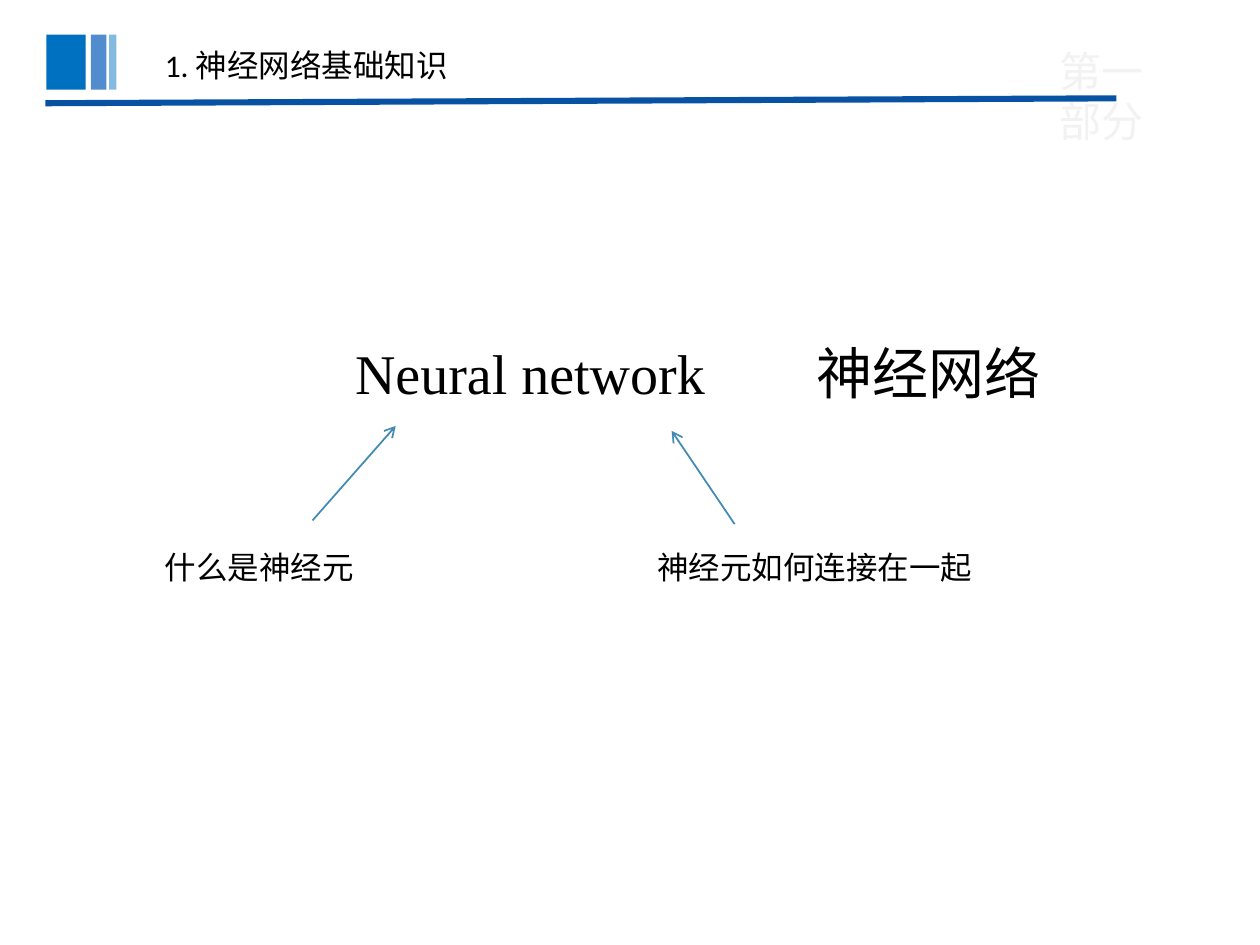
from lxml import etree
from pptx import Presentation
from pptx.dml.color import RGBColor
from pptx.enum.shapes import MSO_CONNECTOR, MSO_SHAPE
from pptx.oxml.ns import qn
from pptx.util import Pt

STRAIGHT = MSO_CONNECTOR.STRAIGHT
RECTANGLE = MSO_SHAPE.RECTANGLE
BLACK = RGBColor(0x00, 0x00, 0x00)
PALE_GREY = RGBColor(0xF2, 0xF2, 0xF2)
RULE_BLUE = RGBColor(0x08, 0x52, 0xA4)
BRIGHT_BLUE = RGBColor(0x00, 0x70, 0xC0)
DEEP_BLUE = RGBColor(0x06, 0x5C, 0xBA)
ARROW_BLUE = RGBColor(0x41, 0x8A, 0xB3)
CJK_FONT = "Noto Sans CJK SC"

prs = Presentation()
prs.slide_width, prs.slide_height = Pt(720), Pt(540)
slide = prs.slides.add_slide(prs.slide_layouts[6])


def add_text(text, left, top, width, height, size=18, font="Calibri", color=BLACK, tab=None):
    box = slide.shapes.add_textbox(Pt(left), Pt(top), Pt(width), Pt(height))
    box.text_frame.word_wrap = True
    paragraph = box.text_frame.paragraphs[0]
    run = paragraph.add_run()
    run.text = text
    run.font.size = Pt(size)
    run.font.name = font
    run.font.color.rgb = color
    etree.SubElement(run.font._element, qn("a:ea"), typeface=CJK_FONT)
    if tab:
        tabs = etree.SubElement(paragraph._p.get_or_add_pPr(), qn("a:tabLst"))
        etree.SubElement(tabs, qn("a:tab"), pos=str(Pt(tab)), algn="l")


def add_line(x1, y1, x2, y2, color, width, arrow=False):
    line = slide.shapes.add_connector(STRAIGHT, Pt(x1), Pt(y1), Pt(x2), Pt(y2))
    line.line.color.rgb = color
    line.line.width = Pt(width)
    if arrow:
        etree.SubElement(line.line._get_or_add_ln(), qn("a:tailEnd"), type="arrow")
    etree.SubElement(line._element.spPr, qn("a:effectLst"))


# Section label and header rule
add_text("第一部分", 598.3, 22.3, 85, 65.5, size=24, font=CJK_FONT, color=PALE_GREY)
add_line(25.9, 59, 637.9, 56.2, RULE_BLUE, 3.5)

# Header bars, fading to the right
for left, width, color, opacity in [
    (26.5, 22.5, BRIGHT_BLUE, 100),
    (52, 8.8, DEEP_BLUE, 70),
    (62.4, 4.2, BRIGHT_BLUE, 48),
]:
    bar = slide.shapes.add_shape(RECTANGLE, Pt(left), Pt(19.8), Pt(width), Pt(31.5))
    bar.shadow.inherit = False
    bar.fill.solid()
    bar.fill.fore_color.rgb = color
    bar.line.fill.background()
    if opacity < 100:
        rgb = bar._element.spPr.find(qn("a:solidFill"))[0]
        etree.SubElement(rgb, qn("a:alpha"), val=str(opacity * 1000))

# Title and main term
add_text("1. 神经网络基础知识", 87.1, 23, 239.8, 28.8)
add_text("Neural network\t神经网络", 195.8, 190.1, 416.2, 54,
         size=32, font="Times New Roman", tab=263.5)

# Questions pointing at the two words
add_line(178.6, 297.4, 226.1, 243.4, ARROW_BLUE, 1, arrow=True)
add_line(419.8, 299.5, 383.8, 246.2, ARROW_BLUE, 1, arrow=True)
add_text("什么是神经元", 87.1, 309.6, 160.6, 28.8)
add_text("神经元如何连接在一起", 368.6, 309.6, 208.8, 28.8)

prs.save("out.pptx")
